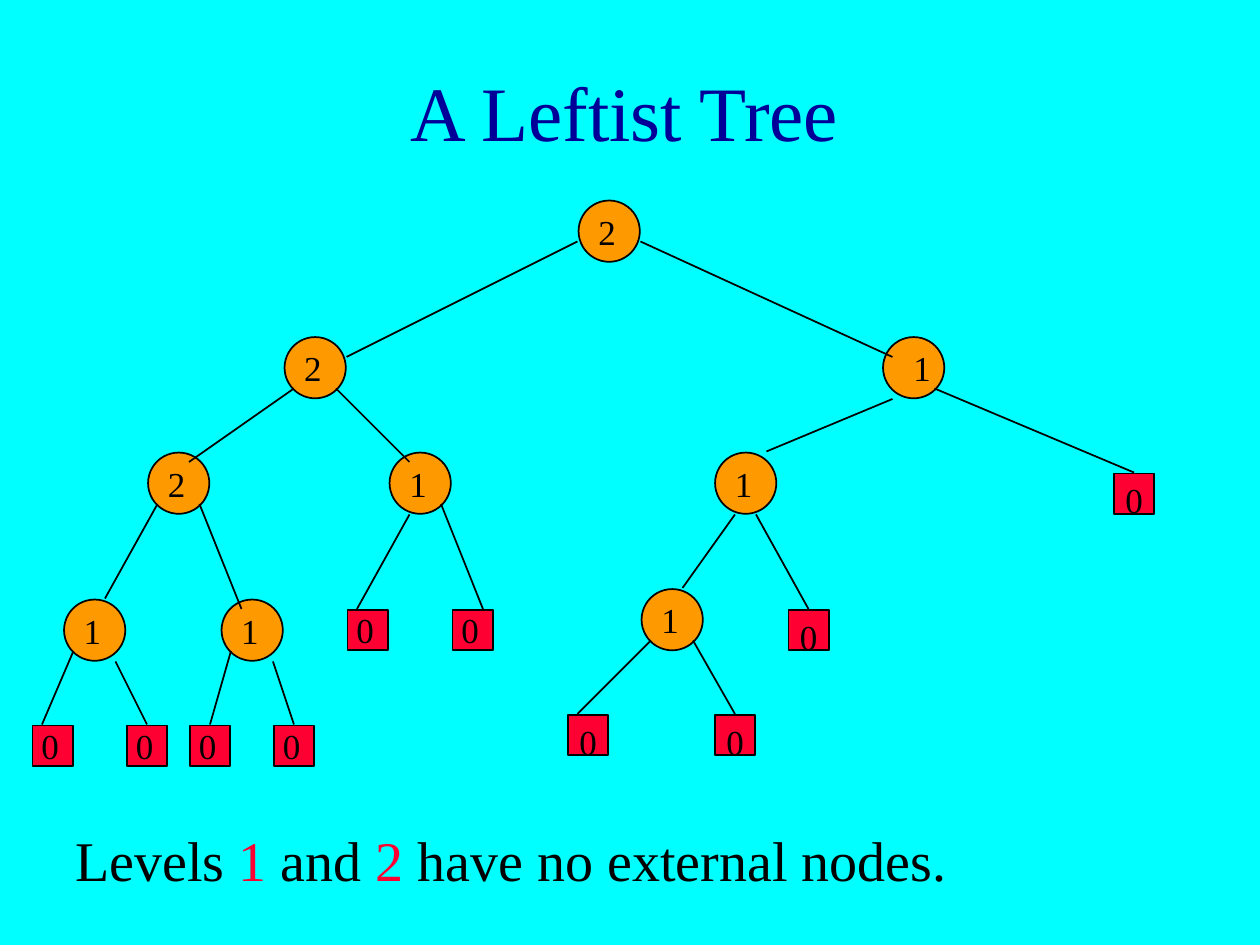
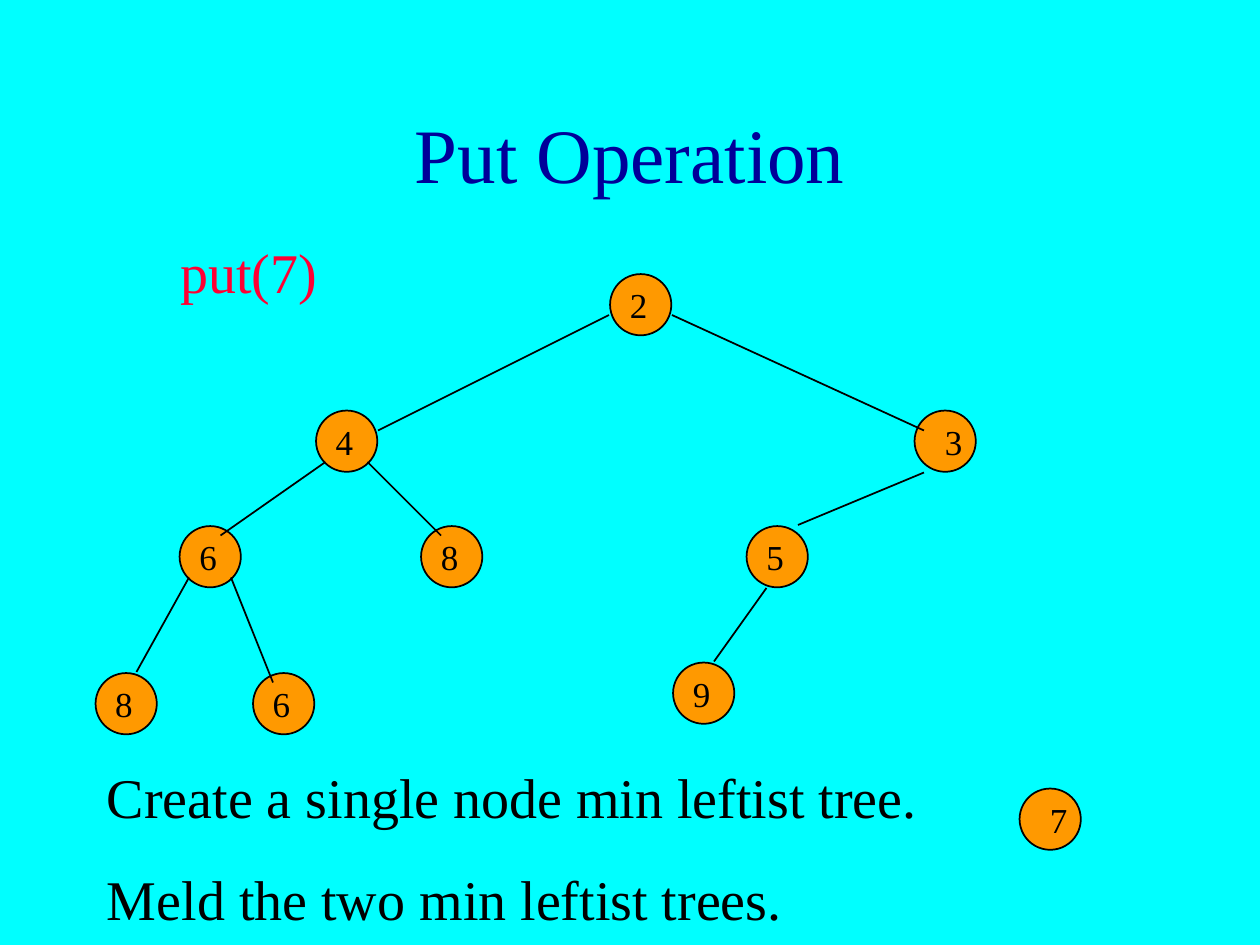
from dataclasses import dataclass
from typing import Any, Optional

from lxml.etree import SubElement
from pptx import Presentation
from pptx.dml.color import RGBColor
from pptx.enum.shapes import MSO_CONNECTOR, MSO_SHAPE
from pptx.enum.text import MSO_ANCHOR, MSO_AUTO_SIZE, PP_ALIGN
from pptx.oxml.ns import qn
from pptx.util import Pt

HEX = {"back": "00FFFF", "title": "000099", "node": "FF9900",
       "leaf": "FF0033", "red": "FF0033", "ink": "000000"}
FONT = "Times New Roman"
TITLE = {"name": FONT, "size": Pt(44)}
BODY = {"name": FONT, "size": Pt(32)}
LABEL = {"name": FONT, "size": Pt(20)}
FRAME = {"margin_left": Pt(7.2), "margin_right": Pt(7.2),
         "margin_top": Pt(3.6), "margin_bottom": Pt(3.6),
         "word_wrap": True, "auto_size": MSO_AUTO_SIZE.NONE}
INSET = 0.6  # gap between the grid point and the drawn outline

Run = tuple[str, str]


@dataclass(frozen=True)
class Kind:
    form: MSO_SHAPE
    tone: str
    size: float
    shift: tuple[float, float]
    width: float = 24.5


INNER = Kind(MSO_SHAPE.OVAL, "node", 35, (4.8, 2.6))
RIGHT = Kind(MSO_SHAPE.OVAL, "node", 35, (10.8, 2.6))
LEAF = Kind(MSO_SHAPE.RECTANGLE, "leaf", 23, (-1.4, -3.6))
LOW = Kind(MSO_SHAPE.RECTANGLE, "leaf", 23, (0, 0), 18)


@dataclass(frozen=True)
class Node:
    """A tree node at a grid point, with the line from its parent."""
    x: float
    y: float
    link: Optional[tuple[float, float, float, float]] = None
    kind: Kind = INNER


CORE = [
    Node(330, 114),
    Node(162, 192, (330, 138, 198, 204)),
    Node(504, 192, (366, 138, 510, 204), RIGHT),
    Node(84, 258, (168, 222, 108, 264)),
    Node(222, 258, (192, 222, 234, 264)),
    Node(408, 258, (510, 228, 438, 258)),
    Node(36, 342, (90, 288, 60, 342)),
    Node(126, 342, (114, 288, 138, 348)),
    Node(366, 336, (420, 294, 390, 336)),
]
LEAVES = [
    Node(198, 348, (234, 294, 204, 348), LEAF),
    Node(258, 348, (252, 288, 276, 348), LEAF),
    Node(18, 414, (42, 372, 24, 414), LEAF),
    Node(72, 414, (66, 378, 84, 414), LEAF),
    Node(108, 414, (132, 372, 120, 414), LEAF),
    Node(156, 414, (156, 378, 168, 414), LEAF),
    Node(450, 348, (432, 294, 462, 348), LOW),
    Node(636, 270, (534, 222, 648, 270), LOW),
    Node(324, 408, (372, 366, 330, 408), LOW),
    Node(408, 408, (396, 366, 420, 408), LOW),
]


def tint(name: str) -> RGBColor:
    return RGBColor.from_string(HEX[name])


def apply(item: Any, style: dict[str, Any]) -> None:
    """Set each format value on the item."""
    for key, value in style.items():
        setattr(item, key, value)


def add_run(para: Any, text: str, tone: str, style: dict[str, Any]) -> None:
    run = para.add_run()
    run.text = text
    apply(run.font, style)
    run.font.color.rgb = tint(tone)


def add_text(slide: Any, box: tuple[float, ...], lines: list[list[Run]],
             style: dict[str, Any]) -> None:
    frame = slide.shapes.add_textbox(*map(Pt, box)).text_frame
    apply(frame, FRAME)
    for row, runs in enumerate(lines):
        para = frame.add_paragraph() if row else frame.paragraphs[0]
        if row:
            para.space_before = Pt(20)
        for text, tone in runs:
            add_run(para, text, tone, style)


def add_slide(deck: Any, title: str, box: tuple[float, ...]) -> Any:
    slide = deck.slides.add_slide(deck.slide_layouts[5])
    head = slide.shapes.title
    apply(head, dict(zip(("left", "top", "width", "height"), map(Pt, box))))
    apply(head.text_frame, FRAME | {"vertical_anchor": MSO_ANCHOR.MIDDLE})
    para = head.text_frame.paragraphs[0]
    para.alignment = PP_ALIGN.CENTER
    add_run(para, title, "title", TITLE)
    return slide


def set_line(shape: Any) -> None:
    shape.line.color.rgb = tint("ink")
    shape.line.width = Pt(1)


def draw_tree(slide: Any, nodes: list[Node], keys: str,
              dx: float = 0, dy: float = 0) -> None:
    """Draw outlines, then links, then keys, all moved by dx and dy."""
    for node in nodes:
        kind = node.kind
        shape = slide.shapes.add_shape(
            kind.form, Pt(node.x + dx + INSET), Pt(node.y + dy + INSET),
            Pt(kind.size), Pt(kind.size))
        shape.shadow.inherit = False
        shape.fill.solid()
        shape.fill.fore_color.rgb = tint(kind.tone)
        set_line(shape)
    for node in nodes:
        if node.link:
            x1, y1, x2, y2 = node.link
            line = slide.shapes.add_connector(
                MSO_CONNECTOR.STRAIGHT, Pt(x1 + dx), Pt(y1 + dy),
                Pt(x2 + dx), Pt(y2 + dy))
            set_line(line)
            SubElement(line._element.spPr, qn("a:effectLst"))
    for node, key in zip(nodes, keys):
        left, top = node.kind.shift
        box = (node.x + dx + left, node.y + dy + top, node.kind.width, 31)
        add_text(slide, box, [[(key, "ink")]], LABEL)


def main() -> None:
    deck = Presentation()
    deck.slide_width, deck.slide_height = Pt(720), Pt(540)
    fill = deck.slide_master.background.fill
    fill.solid()
    fill.fore_color.rgb = tint("back")

    slide = add_slide(deck, "A Leftist Tree", (6, 18, 702, 90))
    draw_tree(slide, CORE + LEAVES, "221211111" + "0" * len(LEAVES))
    add_text(slide, (36, 468, 666, 45),
             [[("Levels ", "ink"), ("1 ", "red"), ("and ", "ink"),
               ("2 ", "red"), ("have no external nodes.", "ink")]], BODY)

    slide = add_slide(deck, "Put Operation", (54, 42, 612, 90))
    add_text(slide, (96, 132, 504, 138), [[("put(7)", "red")]], BODY)
    draw_tree(slide, CORE, "243685869", 18, 42)
    add_text(slide, (54, 432, 600, 104),
             [[("Create a single node min leftist tree.", "ink")],
              [("Meld the two min leftist trees.", "ink")]], BODY)
    draw_tree(slide, [Node(582, 450, kind=RIGHT)], "7")

    deck.save("out.pptx")


if __name__ == "__main__":
    main()
